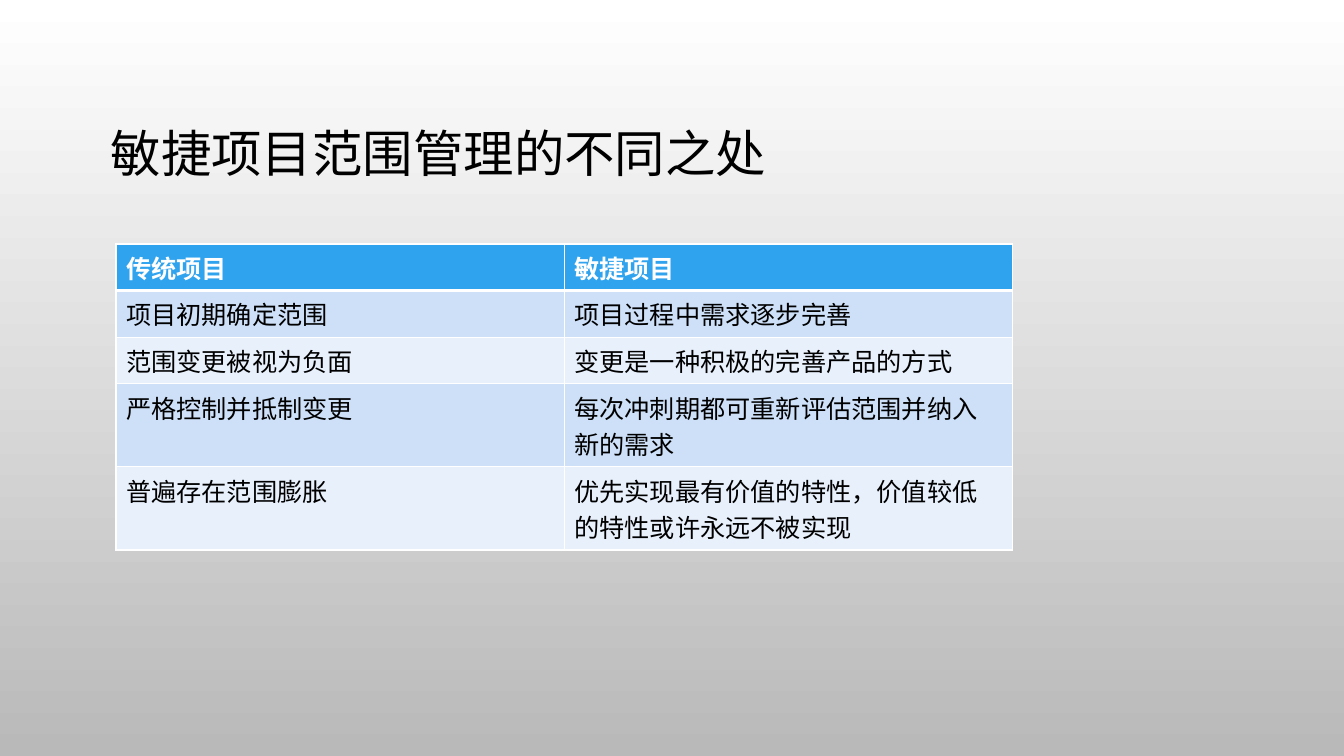
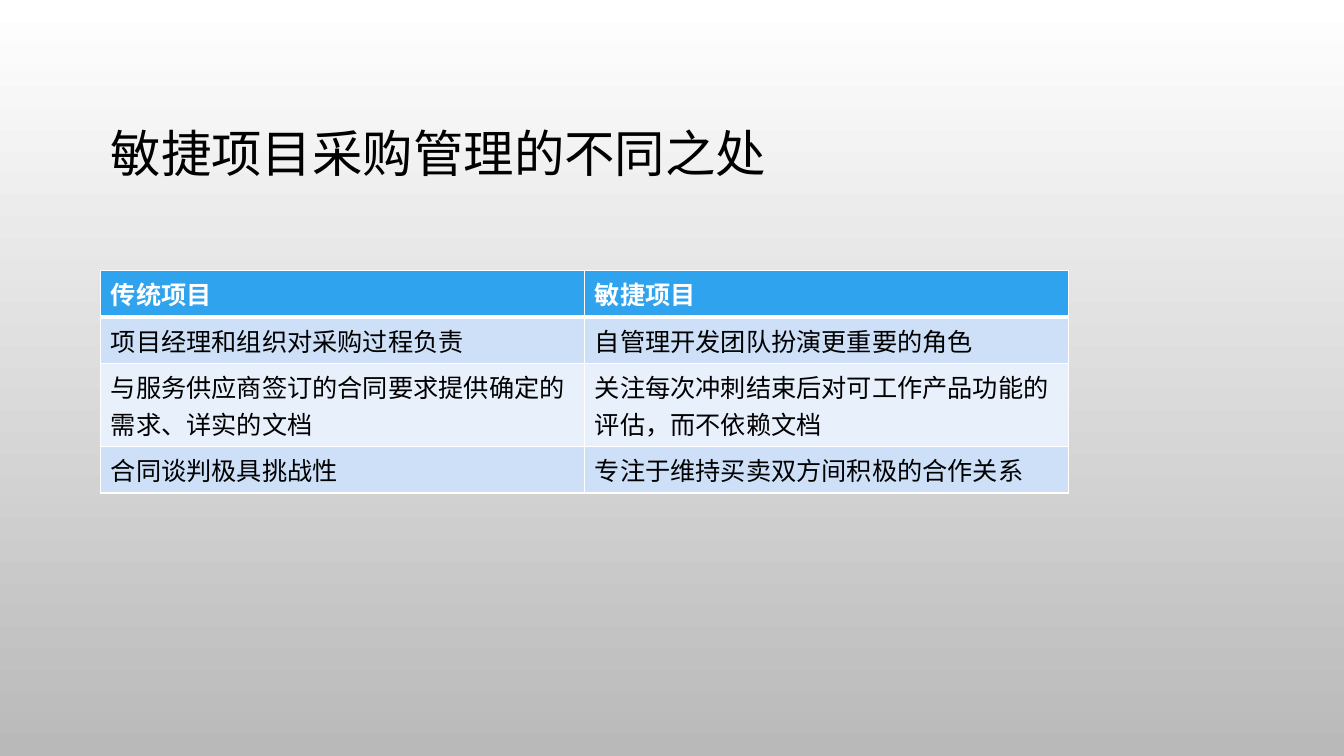
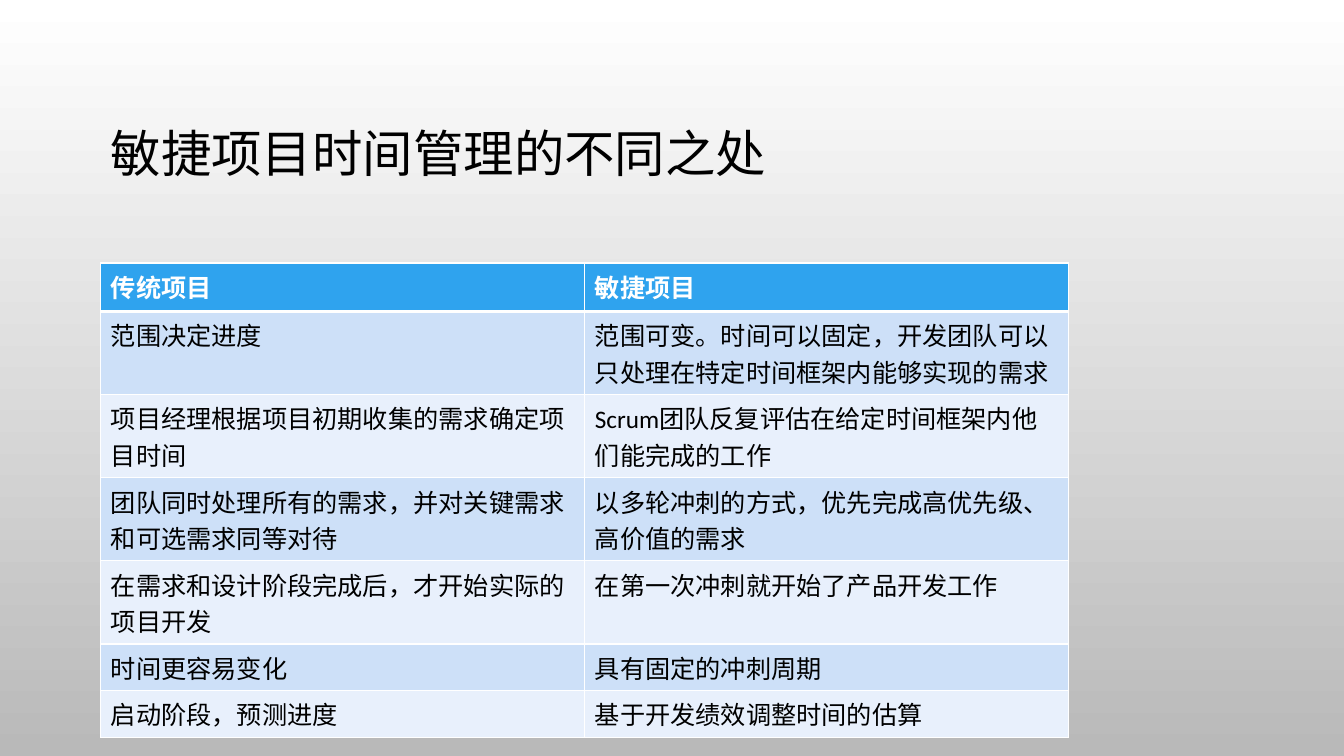
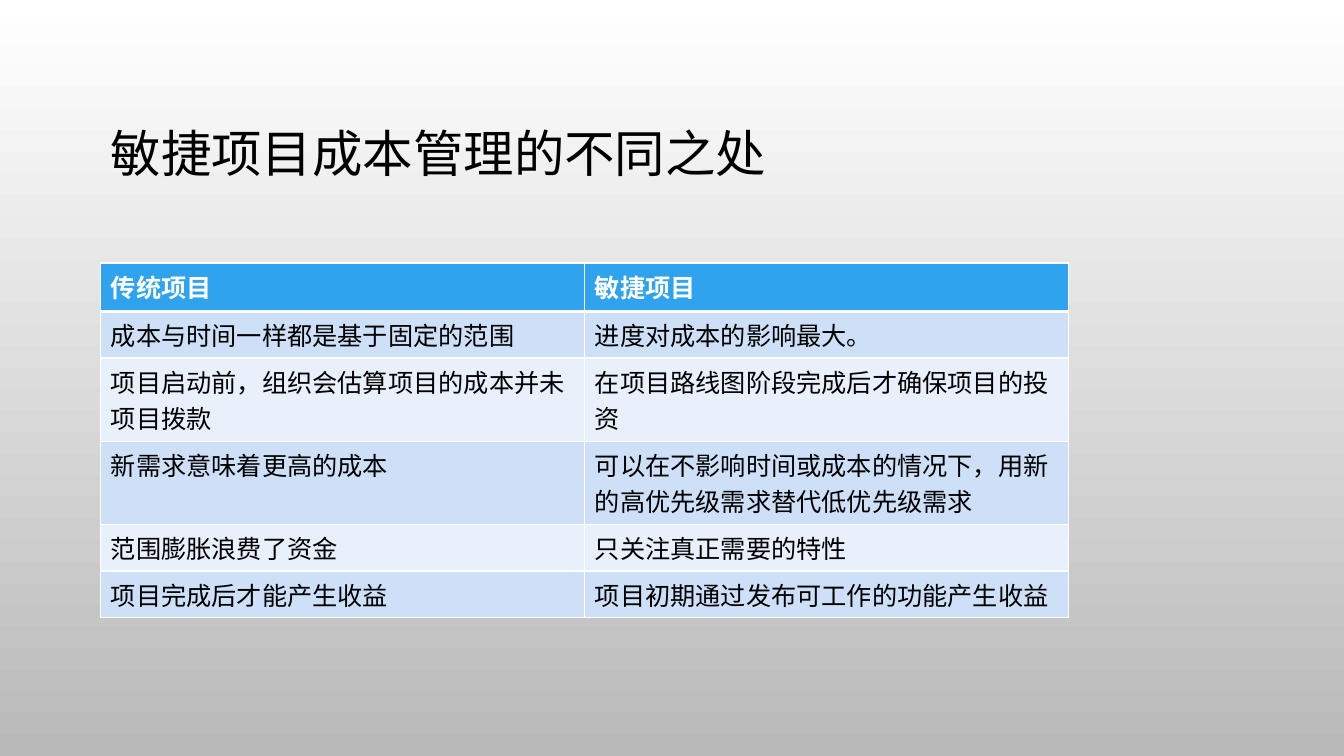
import math
import pptx
import pptx.util
import pptx.dml.color
import pptx.enum.lang
import pptx.enum.text
import pptx.oxml.ns
import lxml.etree

Inches = pptx.util.Inches
RGBColor = pptx.dml.color.RGBColor

# Content: topic, table left, top, width, least header height, rows
HEAD = ("传统项目", "敏捷项目")
SLIDES = [
    ("范围", 1.15, 2.42, 8.89, 0.41, [
        ("项目初期确定范围", "项目过程中需求逐步完善"),
        ("范围变更被视为负面", "变更是一种积极的完善产品的方式"),
        ("严格控制并抵制变更", "每次冲刺期都可重新评估范围并纳入新的需求"),
        ("普遍存在范围膨胀", "优先实现最有价值的特性，价值较低的特性或许永远不被实现"),
    ]),
    ("采购", 1, 2.68, 9.6, 0.41, [
        ("项目经理和组织对采购过程负责", "自管理开发团队扮演更重要的角色"),
        ("与服务供应商签订的合同要求提供确定的需求、详实的文档",
         "关注每次冲刺结束后对可工作产品功能的评估，而不依赖文档"),
        ("合同谈判极具挑战性", "专注于维持买卖双方间积极的合作关系"),
    ]),
    ("时间", 1, 2.61, 9.6, 0.48, [
        ("范围决定进度", "范围可变。时间可以固定，开发团队可以只处理在特定时间框架内能够实现的需求"),
        ("项目经理根据项目初期收集的需求确定项目时间",
         "Scrum团队反复评估在给定时间框架内他们能完成的工作"),
        ("团队同时处理所有的需求，并对关键需求和可选需求同等对待",
         "以多轮冲刺的方式，优先完成高优先级、高价值的需求"),
        ("在需求和设计阶段完成后，才开始实际的项目开发", "在第一次冲刺就开始了产品开发工作"),
        ("时间更容易变化", "具有固定的冲刺周期"),
        ("启动阶段，预测进度", "基于开发绩效调整时间的估算"),
    ]),
    ("成本", 1, 2.61, 9.6, 0.48, [
        ("成本与时间一样都是基于固定的范围", "进度对成本的影响最大。"),
        ("项目启动前，组织会估算项目的成本并未项目拨款", "在项目路线图阶段完成后才确保项目的投资"),
        ("新需求意味着更高的成本", "可以在不影响时间或成本的情况下，用新的高优先级需求替代低优先级需求"),
        ("范围膨胀浪费了资金", "只关注真正需要的特性"),
        ("项目完成后才能产生收益", "项目初期通过发布可工作的功能产生收益"),
    ]),
]

# Shared look
FONT = "Calibri"
WHITE = RGBColor(0xFF, 0xFF, 0xFF)
BLACK = RGBColor(0x00, 0x00, 0x00)
GREY = RGBColor(0xB9, 0xB9, 0xB9)
BLUE = RGBColor(0x2F, 0xA3, 0xEE)
BANDS = (RGBColor(0xE8, 0xF0, 0xFC), RGBColor(0xCD, 0xE0, 0xF8))
GLYPH = 0.25  # width of one 18 point character
LINE = GLYPH * 1.45
PAD_X, PAD_Y = 0.2, 0.1  # both cell margins together


def write(frame, text, size=18, color=BLACK, bold=False, space=None):
    para = frame.paragraphs[0]
    para.line_spacing = space
    run = para.add_run()
    run.text = text
    font = run.font
    font.name, font.size, font.bold = FONT, pptx.util.Pt(size), bold
    font.color.rgb = color
    font.language_id = pptx.enum.lang.MSO_LANGUAGE_ID.SIMPLIFIED_CHINESE


def edge(cell, side, width):
    qn = pptx.oxml.ns.qn
    props = cell._tc.get_or_add_tcPr()
    line = lxml.etree.SubElement(props, qn("a:ln" + side), w=str(pptx.util.Pt(width)))
    fill = lxml.etree.SubElement(line, qn("a:solidFill"))
    lxml.etree.SubElement(fill, qn("a:srgbClr"), val=str(WHITE))


def row_high(texts, width):
    fit = math.floor((width - PAD_X) / GLYPH)
    return PAD_Y + LINE * max(math.ceil(len(text) / fit) for text in texts)


def add_title(slide, text):
    box = slide.shapes.add_textbox(Inches(1), Inches(0.67), Inches(11.33), Inches(1.75))
    frame = box.text_frame
    frame.word_wrap = True
    frame.vertical_anchor = pptx.enum.text.MSO_ANCHOR.MIDDLE
    write(frame, text, size=36, space=0.9)


def add_grid(slide, left, top, width, head, rows):
    rows = [HEAD] + rows
    highs = [row_high(texts, width / len(HEAD)) for texts in rows]
    highs[0] = max(head, highs[0])
    table = slide.shapes.add_table(len(rows), len(HEAD), Inches(left), Inches(top),
                                   Inches(width), Inches(sum(highs))).table
    for r, texts in enumerate(rows):
        first = r == 0
        table.rows[r].height = Inches(highs[r])
        for c, text in enumerate(texts):
            cell = table.cell(r, c)
            # The rule below the header is thick
            for side, thick in (("L", False), ("R", False), ("T", r == 1), ("B", first)):
                edge(cell, side, 3 if thick else 1)
            cell.fill.solid()
            cell.fill.fore_color.rgb = BLUE if first else BANDS[r % 2]
            write(cell.text_frame, text, color=WHITE if first else BLACK, bold=first)


def main():
    deck = pptx.Presentation()
    deck.slide_width, deck.slide_height = Inches(13.33), Inches(7.5)

    # Backdrop for all slides
    fill = deck.slide_master.background.fill
    fill.gradient()
    fill.gradient_angle = 270
    for stop, color in zip(fill.gradient_stops, (WHITE, GREY)):
        stop.color.rgb = color

    for topic, *place, rows in SLIDES:
        slide = deck.slides.add_slide(deck.slide_layouts[6])
        add_title(slide, f"敏捷项目{topic}管理的不同之处")
        add_grid(slide, *place, rows)
    deck.save("out.pptx")


if __name__ == "__main__":
    main()
